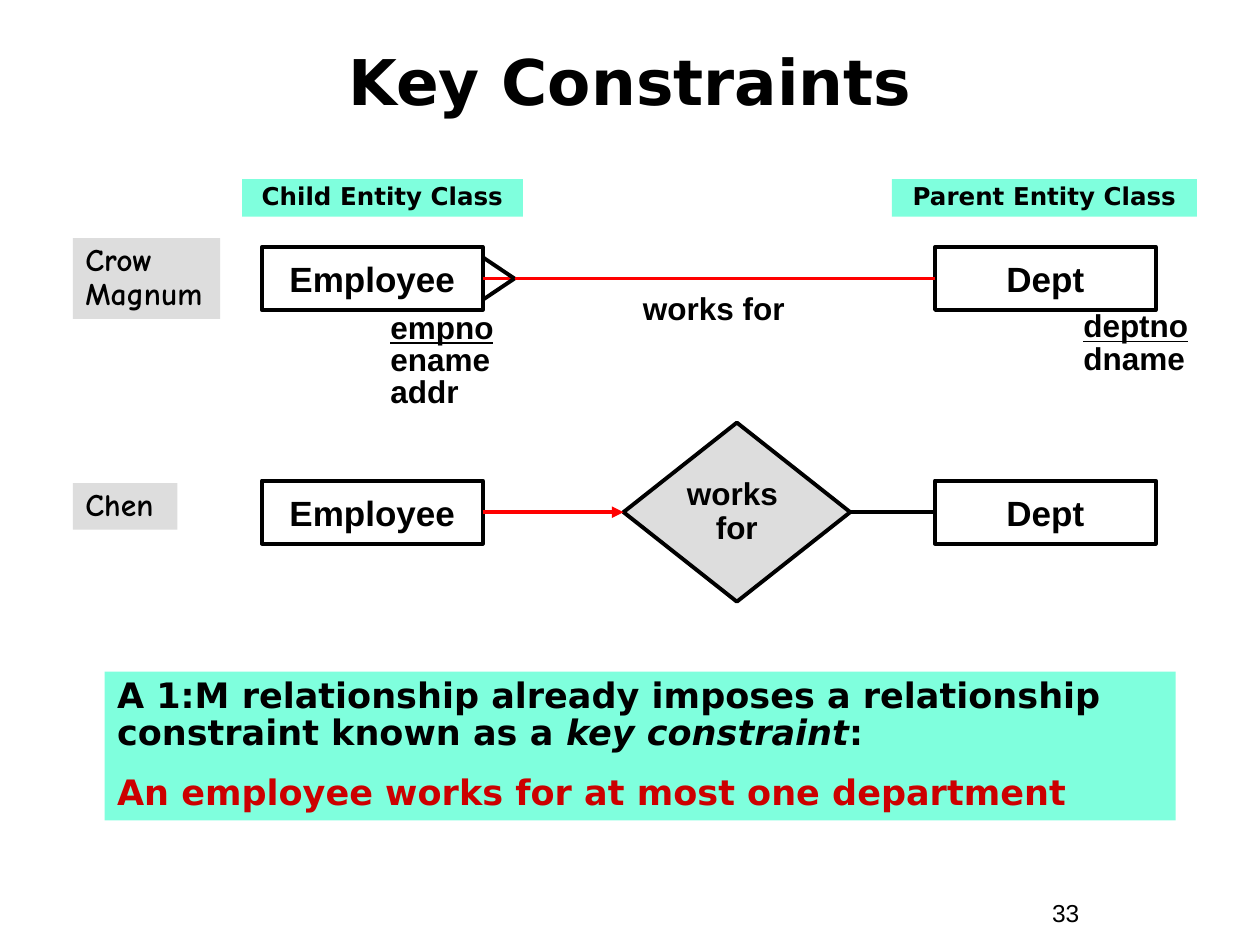
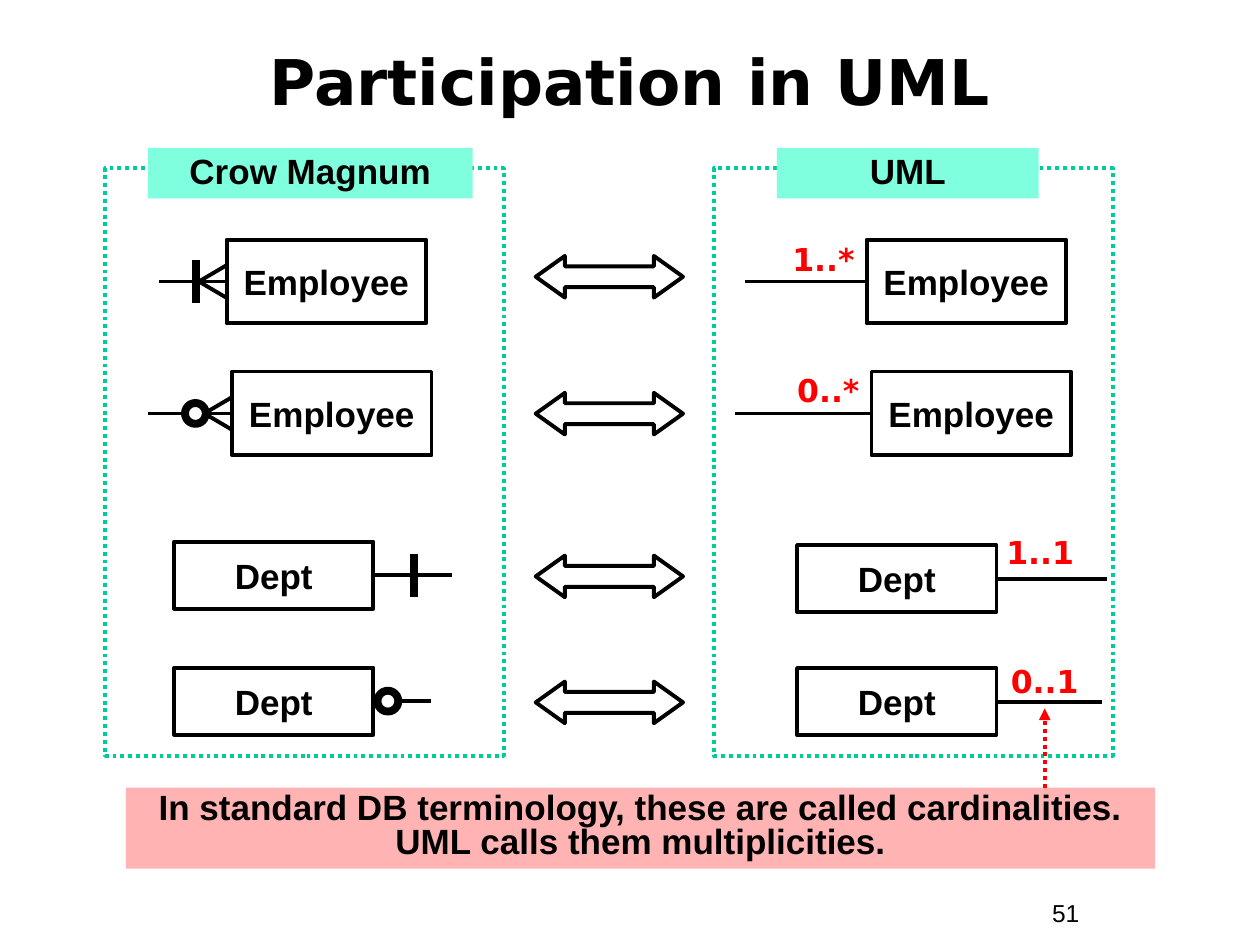
import pptx
import pptx.util
from lxml import etree
from pptx.dml.color import RGBColor
from pptx.enum.dml import MSO_LINE
from pptx.enum.shapes import MSO_CONNECTOR, MSO_SHAPE
from pptx.enum.text import MSO_ANCHOR, MSO_AUTO_SIZE, PP_ALIGN
from pptx.oxml.ns import qn

Cm, Pt = pptx.util.Cm, pptx.util.Pt

BLACK, WHITE, GREY = "000000", "FFFFFF", "DDDDDD"
MINT, GREEN, PINK = "7FFFDD", "00CC99", "FFB3B3"
RED, DARK_RED = "FF0000", "CC0000"
ARIAL, DEJAVU, COMIC = "Arial", "DejaVu Sans", "Comic Neue"
LEFT, CENTER = PP_ALIGN.LEFT, PP_ALIGN.CENTER
LEFT_SITE, RIGHT_SITE = 1, 3
THIN, THICK = 2.25, 4.5
ENTITY_HEIGHTS = {"Employee": 1.69, "Dept": 1.35}


def rgb(color):
    return RGBColor.from_string(color)


def write(shape, text, size, font=ARIAL, color=BLACK, align=LEFT, spacing=None,
          anchor=MSO_ANCHOR.TOP, wrap=True, bold=True):
    """Fill a shape with text; \\n starts a paragraph and \\v a line."""
    tf = shape.text_frame
    tf.text = text
    tf.word_wrap = wrap
    tf.auto_size = MSO_AUTO_SIZE.NONE
    tf.vertical_anchor = anchor
    for p in tf.paragraphs:
        p.alignment = align
        if spacing:
            p.line_spacing = spacing
        p.font.name = font
        p.font.size = Pt(size)
        p.font.bold = bold
        p.font.color.rgb = rgb(color)
    return tf


def add_shape(s, kind, x, y, w, h, fill=None, line=None, width=THIN):
    sp = s.shapes.add_shape(kind, Cm(x), Cm(y), Cm(w), Cm(h))
    sp.shadow.inherit = False
    if fill:
        sp.fill.solid()
        sp.fill.fore_color.rgb = rgb(fill)
    else:
        sp.fill.background()
    if line:
        sp.line.color.rgb = rgb(line)
        sp.line.width = Pt(width)
    else:
        sp.line.fill.background()
    return sp


def add_band(s, x, y, w, h, fill, text, size, **style):
    sp = add_shape(s, MSO_SHAPE.RECTANGLE, x, y, w, h, fill)
    return write(sp, text, size, **style)


def add_text(s, x, y, w, h, text, size, **style):
    tb = s.shapes.add_textbox(Cm(x), Cm(y), Cm(w), Cm(h))
    return write(tb, text, size, **style)


def add_entity(s, x, y, w, h, name):
    sp = add_shape(s, MSO_SHAPE.RECTANGLE, x, y, w, h, line=BLACK)
    write(sp, name, 20, align=CENTER, anchor=MSO_ANCHOR.MIDDLE)
    return sp


def add_line(s, x1, y1, x2, y2, color=BLACK, width=THIN, dash=None, arrow=False):
    cn = s.shapes.add_connector(MSO_CONNECTOR.STRAIGHT, Cm(x1), Cm(y1), Cm(x2), Cm(y2))
    cn.line.color.rgb = rgb(color)
    cn.line.width = Pt(width)
    if dash:
        cn.line.dash_style = dash
    spPr = cn.element.spPr
    if arrow:
        etree.SubElement(spPr.find(qn("a:ln")), qn("a:tailEnd"), type="triangle")
    etree.SubElement(spPr, qn("a:effectLst"))
    return cn


def join(s, left, right, **style):
    """Connect the right side of one shape to the left side of another."""
    cn = add_line(s, 0, 0, 0, 0, **style)
    cn.begin_connect(left, RIGHT_SITE)
    cn.end_connect(right, LEFT_SITE)


def add_crow_foot(s, edge, y, reach, spread):
    """Draw two toes from a tip, reach away from the edge, back to the edge."""
    for dy in (-spread, spread):
        add_line(s, edge + reach, y, edge, y + dy)


def new_slide(prs, title, number):
    s = prs.slides.add_slide(prs.slide_layouts[5])
    sp = s.shapes.title
    sp.left, sp.top, sp.width, sp.height = Cm(0.43), Cm(0.45), Cm(24.54), Cm(2.34)
    write(sp, title, 36, font=DEJAVU, align=CENTER, anchor=MSO_ANCHOR.MIDDLE)
    add_text(s, 20.96, 17.98, 2.34, 0.86, number, 14, bold=False)
    return s


def notation_row(s, x, y, notation, note_h, note_w, note_dy):
    """Place the notation's name and its two entities; return the entities."""
    add_band(s, x, y + note_dy, note_w, note_h, GREY, notation, 18, font=COMIC, spacing=0.9)
    return [add_entity(s, x + dx, y, 4.45, 1.27, name)
            for dx, name in ((3.81, "Employee"), (17.38, "Dept"))]


def attributes(s, x, y, h, text):
    tf = add_text(s, x, y, 2.97, h, text, 18, spacing=0.85)
    tf.paragraphs[0].runs[0].font.underline = True


def crow_row(s, x, y):
    employee, dept = notation_row(s, x, y, "Crow\vMagnum", 1.63, 2.97, -0.18)
    for dx, w, role in ((3.41, 5.66, "Child"), (16.51, 6.15, "Parent")):
        add_band(s, x + dx, y - 1.37, w, 0.76, MINT, f"{role} Entity Class", 14,
                 font=DEJAVU, align=CENTER, spacing=0.85)
    join(s, employee, dept, color=RED)
    add_crow_foot(s, x + 8.26, y + 0.635, 0.64, 0.43)
    add_text(s, x + 10.8, y + 0.84, 4.24, 0.91, "works for", 18, align=CENTER, spacing=0.85)
    attributes(s, x + 6.15, y + 1.22, 2.21, "empno\vename\naddr")
    attributes(s, x + 20.12, y + 1.19, 1.55, "deptno\vdname")


def chen_row(s, x, y):
    employee, dept = notation_row(s, x, y, "Chen", 0.94, 2.11, 0.05)
    works_for = add_shape(s, MSO_SHAPE.FLOWCHART_DECISION, x + 11.1, y - 1.17, 4.57, 3.61,
                          GREY, BLACK)
    write(works_for, "works \vfor", 18, align=CENTER, spacing=0.9,
          anchor=MSO_ANCHOR.MIDDLE, wrap=False)
    join(s, employee, works_for, color=RED, arrow=True)
    join(s, works_for, dept)


def key_constraint_note(s, x, y):
    tf = add_band(s, x, y, 21.59, 3, MINT,
                  "A 1:M relationship already imposes a relationship constraint known as a \n"
                  "An employee works for at most one department",
                  20, font=DEJAVU, spacing=0.9)
    rule, example = tf.paragraphs
    r = rule.add_run()
    r.text = "key constraint"
    r.font.italic = True
    rule.add_run().text = ":"
    example.space_before = Pt(12.5)
    example.font.color.rgb = rgb(DARK_RED)


def key_constraints_slide(prs):
    s = new_slide(prs, "Key Constraints", "33")
    crow_row(s, 1.47, 4.98)
    chen_row(s, 1.47, 9.69)
    key_constraint_note(s, 2.11, 13.54)


def panel(s, x, y, title, title_dx, title_w):
    sp = add_shape(s, MSO_SHAPE.RECTANGLE, x, y, 8.04, 11.85, WHITE, GREEN)
    sp.line.dash_style = MSO_LINE.ROUND_DOT
    add_band(s, x + title_dx, y - 0.41, title_w, 1.02, MINT, title, 20,
             align=CENTER, spacing=0.9)


def entity_with_stub(s, x, y, name, stub_end):
    """Draw an entity and a line from its side to stub_end; return the line's height."""
    h = ENTITY_HEIGHTS[name]
    entity = add_entity(s, x, y, 4.02, h, name)
    mid = y + h / 2
    cn = add_line(s, x, mid, stub_end, mid)
    cn.begin_connect(entity, LEFT_SITE if stub_end < x else RIGHT_SITE)
    return mid


def crow_panel(s, x, y):
    panel(s, x, y, "Crow Magnum", 0.86, 6.55)
    rows = (("Employee", 2.45, 1.44, 1.08, "bar", 1.83),
            ("Employee", 2.56, 4.1, 0.86, "ring", 1.82),
            ("Dept", 1.39, 7.53, 6.99, "bar", 6.22),
            ("Dept", 1.39, 10.07, 6.57, "ring", 5.7))
    for name, dx, dy, stub_end, mark, mark_dx in rows:
        mid = entity_with_stub(s, x + dx, y + dy, name, x + stub_end)
        if name == "Employee":
            add_crow_foot(s, x + dx, mid, -0.56, 0.33)
        mark_x = x + mark_dx
        if mark == "bar":
            add_line(s, mark_x, mid - 0.43, mark_x, mid + 0.43, width=THICK)
        else:
            add_shape(s, MSO_SHAPE.OVAL, mark_x - 0.21, mid - 0.21, 0.42, 0.42,
                      WHITE, BLACK, THICK)


def uml_panel(s, x, y):
    panel(s, x, y, "UML", 1.27, 5.28)
    rows = (("Employee", 3.08, 1.44, 0.63, "1..*", 2.21, 1.32),
            ("Employee", 3.18, 4.1, 0.42, "0..*", 2.31, 3.96),
            ("Dept", 1.68, 7.6, 7.92, "1..1", 6.58, 7.24),
            ("Dept", 1.68, 10.08, 7.82, "0..1", 6.67, 9.83))
    for name, dx, dy, stub_end, label, label_center, label_dy in rows:
        entity_with_stub(s, x + dx, y + dy, name, x + stub_end)
        add_text(s, x + label_center - 1.2, y + label_dy, 2.4, 1.02, label, 18,
                 font=DEJAVU, color=RED, align=CENTER)


def equivalence_arrows(s, x, y):
    for dy in (0, 2.76, 6.04, 8.58):
        sp = add_shape(s, MSO_SHAPE.LEFT_RIGHT_ARROW, x, y + dy, 2.97, 0.84, line=BLACK)
        sp.adjustments[0], sp.adjustments[1] = 0.5, 0.7


def cardinality_note(s, x, y):
    add_band(s, x, y, 20.75, 1.63, PINK,
             "In standard DB terminology, these are called cardinalities.\v"
             "UML calls them multiplicities.", 20, align=CENTER, spacing=0.8)
    add_line(s, x + 18.52, y, x + 18.52, y - 1.6, RED, dash=MSO_LINE.ROUND_DOT, arrow=True)


def participation_slide(prs):
    s = new_slide(prs, "Participation in UML", "51")
    crow_panel(s, 2.12, 3.39)
    uml_panel(s, 14.39, 3.39)
    equivalence_arrows(s, 10.8, 5.16)
    cardinality_note(s, 2.54, 15.88)


def main():
    prs = pptx.Presentation()
    prs.slide_width, prs.slide_height = Cm(25.4), Cm(19.05)
    key_constraints_slide(prs)
    participation_slide(prs)
    prs.save("out.pptx")


if __name__ == "__main__":
    main()
